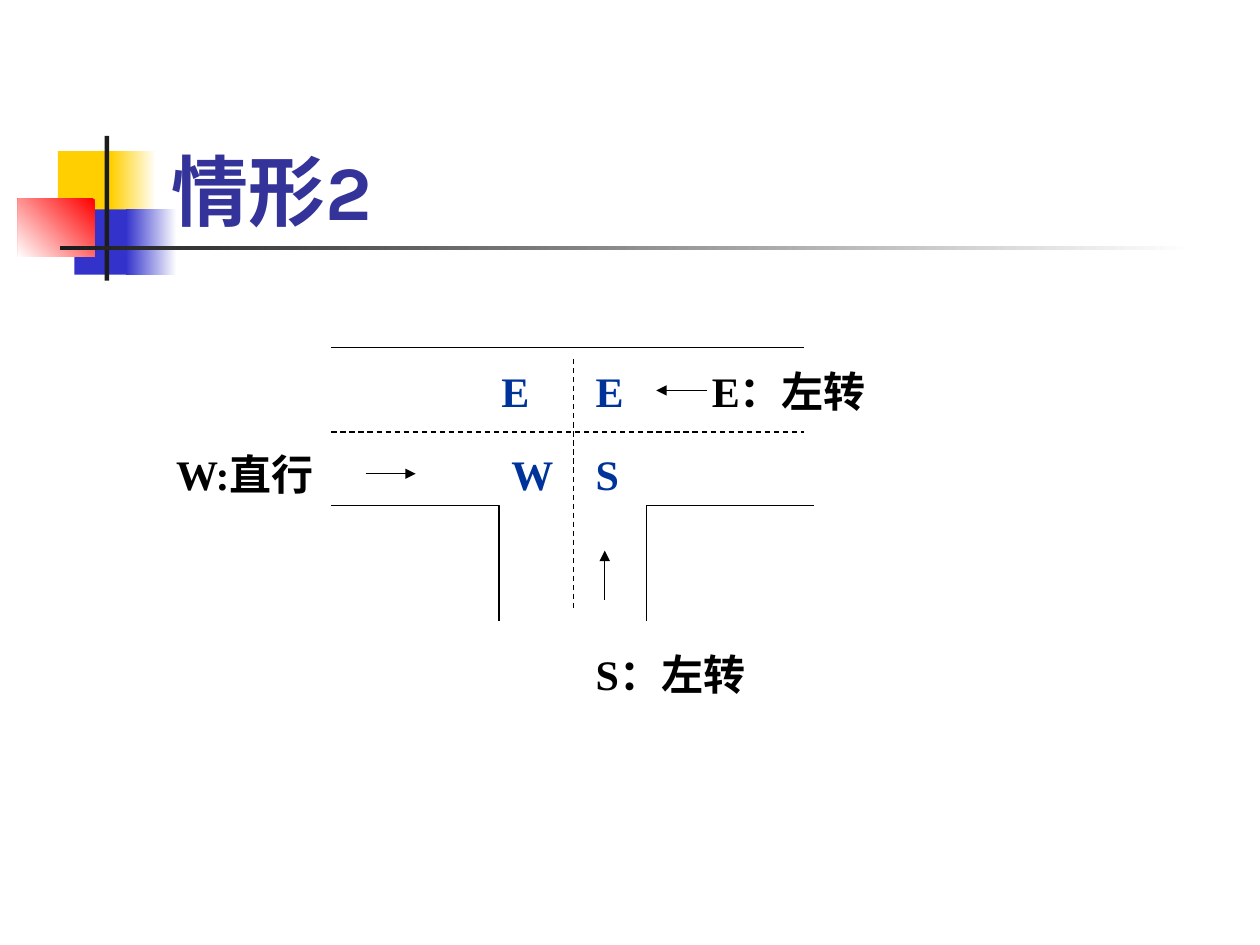
from lxml import etree
from pptx import Presentation
from pptx import util as u
from pptx.dml.color import RGBColor
from pptx.enum import dml, shapes, text
from pptx.oxml import ns

BLACK = RGBColor(0x00, 0x00, 0x00)
WHITE = RGBColor(0xFF, 0xFF, 0xFF)
YELLOW = RGBColor(0xFF, 0xCF, 0x01)
BLUE = RGBColor(0x33, 0x33, 0xCC)
RED = RGBColor(0xFF, 0x00, 0x00)
CHARCOAL = RGBColor(0x1C, 0x1C, 0x1C)
TITLE_BLUE = RGBColor(0x33, 0x33, 0x99)
CAR_BLUE = RGBColor(0x00, 0x33, 0x99)

ROAD_LEFT, ROAD_RIGHT = 6.68, 16.2
ROAD_TOP, ROAD_MIDDLE, ROAD_BOTTOM = 7.01, 8.71, 10.19
SIDE_LEFT, SIDE_MIDDLE, SIDE_RIGHT = 10.06, 11.56, 13.03
CORNER_RIGHT, CORNER_BOTTOM = 16.41, 12.52
UPPER_ROW, LOWER_ROW = 7.24, 8.92
SOUTH_LEFT = 11.76


class SlideBuilder:
    title_font = "Karla"
    label_font = "Times New Roman"
    line_width = u.Pt(0.75)

    def __init__(self, slide):
        self.slide = slide

    def add_run(self, paragraph, words, font, size, color):
        run = paragraph.add_run()
        run.text = words
        run.font.name = font
        run.font.size = u.Pt(size)
        run.font.bold = True
        run.font.color.rgb = color

    def title(self, words, left, top, width, height):
        shape = self.slide.shapes.title
        shape.left, shape.top = u.Cm(left), u.Cm(top)
        shape.width, shape.height = u.Cm(width), u.Cm(height)
        frame = shape.text_frame
        frame.vertical_anchor = text.MSO_ANCHOR.BOTTOM
        frame.auto_size = text.MSO_AUTO_SIZE.NONE
        paragraph = frame.paragraphs[0]
        paragraph.alignment = text.PP_ALIGN.LEFT
        self.add_run(paragraph, words, self.title_font, 44, TITLE_BLUE)

    def block(self, left, top, width, height, start, end=None, angle=180):
        shape = self.slide.shapes.add_shape(
            shapes.MSO_SHAPE.RECTANGLE,
            u.Cm(left), u.Cm(top), u.Cm(width), u.Cm(height))
        shape.shadow.inherit = False
        shape.line.fill.background()
        if end is None:
            shape.fill.solid()
            shape.fill.fore_color.rgb = start
            return
        shape.fill.gradient()
        shape.fill.gradient_angle = angle
        for stop, color in zip(shape.fill.gradient_stops, (start, end)):
            stop.color.rgb = color

    def line(self, x1, y1, x2, y2, dashed=False, arrow=False):
        connector = self.slide.shapes.add_connector(
            shapes.MSO_CONNECTOR.STRAIGHT,
            u.Cm(x1), u.Cm(y1), u.Cm(x2), u.Cm(y2))
        connector.line.width = self.line_width
        connector.line.color.rgb = BLACK
        if dashed:
            connector.line.dash_style = dml.MSO_LINE.DASH
        properties = connector.element.spPr
        if arrow:
            outline = properties.find(ns.qn("a:ln"))
            etree.SubElement(outline, ns.qn("a:tailEnd"), type="triangle")
        etree.SubElement(properties, ns.qn("a:effectLst"))

    def corner(self, *points):
        start, *rest = [(u.Cm(x), u.Cm(y)) for x, y in points]
        builder = self.slide.shapes.build_freeform(*start)
        builder.add_line_segments(rest, close=False)
        shape = builder.convert_to_shape()
        shape.shadow.inherit = False
        shape.fill.background()
        shape.line.color.rgb = BLACK
        shape.line.width = self.line_width

    def label(self, words, left, top, width=1.27, height=1.27, color=BLACK):
        shape = self.slide.shapes.add_textbox(
            u.Cm(left), u.Cm(top), u.Cm(width), u.Cm(height))
        frame = shape.text_frame
        frame.word_wrap = True
        frame.auto_size = text.MSO_AUTO_SIZE.SHAPE_TO_FIT_TEXT
        paragraph = frame.paragraphs[0]
        paragraph.space_before = u.Pt(15)
        self.add_run(paragraph, words, self.label_font, 24, color)


def main():
    presentation = Presentation()
    presentation.slide_width = u.Cm(25.4)
    presentation.slide_height = u.Cm(19.05)
    slide = presentation.slides.add_slide(presentation.slide_layouts[5])
    builder = SlideBuilder(slide)

    builder.block(1.17, 3.05, 1.22, 1.32, YELLOW)
    builder.block(2.24, 3.05, 0.91, 1.32, WHITE, YELLOW)
    builder.block(1.5, 4.22, 1.17, 1.32, BLUE)
    builder.block(2.54, 4.22, 1.02, 1.32, WHITE, BLUE)
    builder.block(0.36, 4.01, 1.55, 1.17, RED, WHITE, angle=225)
    builder.block(2.11, 2.74, 0.09, 2.92, CHARCOAL)
    builder.block(1.22, 4.95, 22.86, 0.09, WHITE, CHARCOAL)
    builder.title("情形2", 3.2, 1.7, 21.64, 3.18)

    builder.line(ROAD_LEFT, ROAD_TOP, ROAD_RIGHT, ROAD_TOP)
    for outer, inner in ((ROAD_LEFT, SIDE_LEFT), (CORNER_RIGHT, SIDE_RIGHT)):
        builder.corner((outer, ROAD_BOTTOM), (inner, ROAD_BOTTOM),
                       (inner, CORNER_BOTTOM))
    builder.line(ROAD_LEFT, ROAD_MIDDLE, ROAD_RIGHT, ROAD_MIDDLE, dashed=True)
    builder.line(SIDE_MIDDLE, UPPER_ROW, SIDE_MIDDLE, 12.32, dashed=True)

    for car, left, top in (("S", SOUTH_LEFT, LOWER_ROW),
                           ("E", SOUTH_LEFT, UPPER_ROW),
                           ("E", 9.86, UPPER_ROW),
                           ("W", SIDE_LEFT, LOWER_ROW)):
        builder.label(car, left, top, color=CAR_BLUE)

    builder.line(7.37, 9.55, 8.38, 9.55, arrow=True)
    builder.label("W:直行", 3.3, LOWER_ROW, 3.38, 2.29)
    builder.line(14.25, 7.87, 13.23, 7.87, arrow=True)
    builder.label("E：左转", 14.1, UPPER_ROW, 3.81)
    builder.line(12.19, 12.09, 12.19, 11.1, arrow=True)
    builder.label("S：左转", SOUTH_LEFT, 12.95, 3.61, 2.29)

    presentation.save("out.pptx")


if __name__ == "__main__":
    main()
